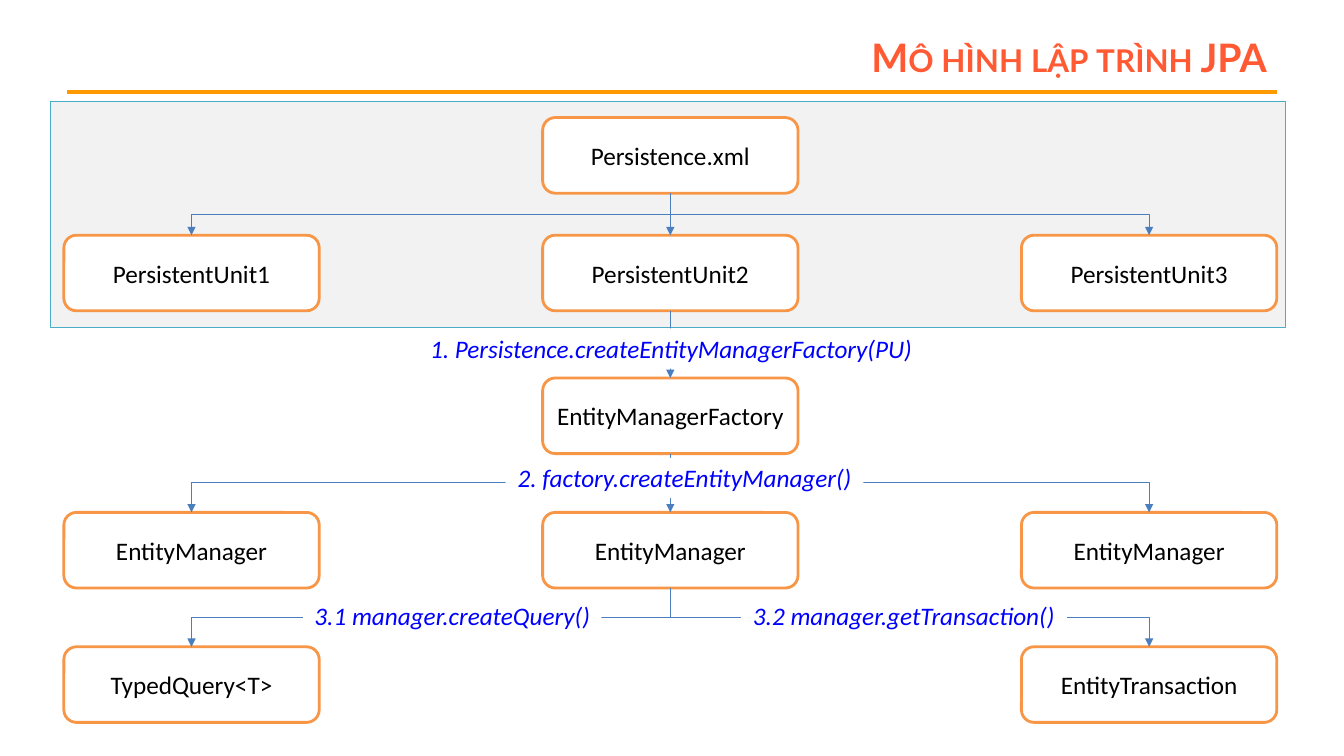
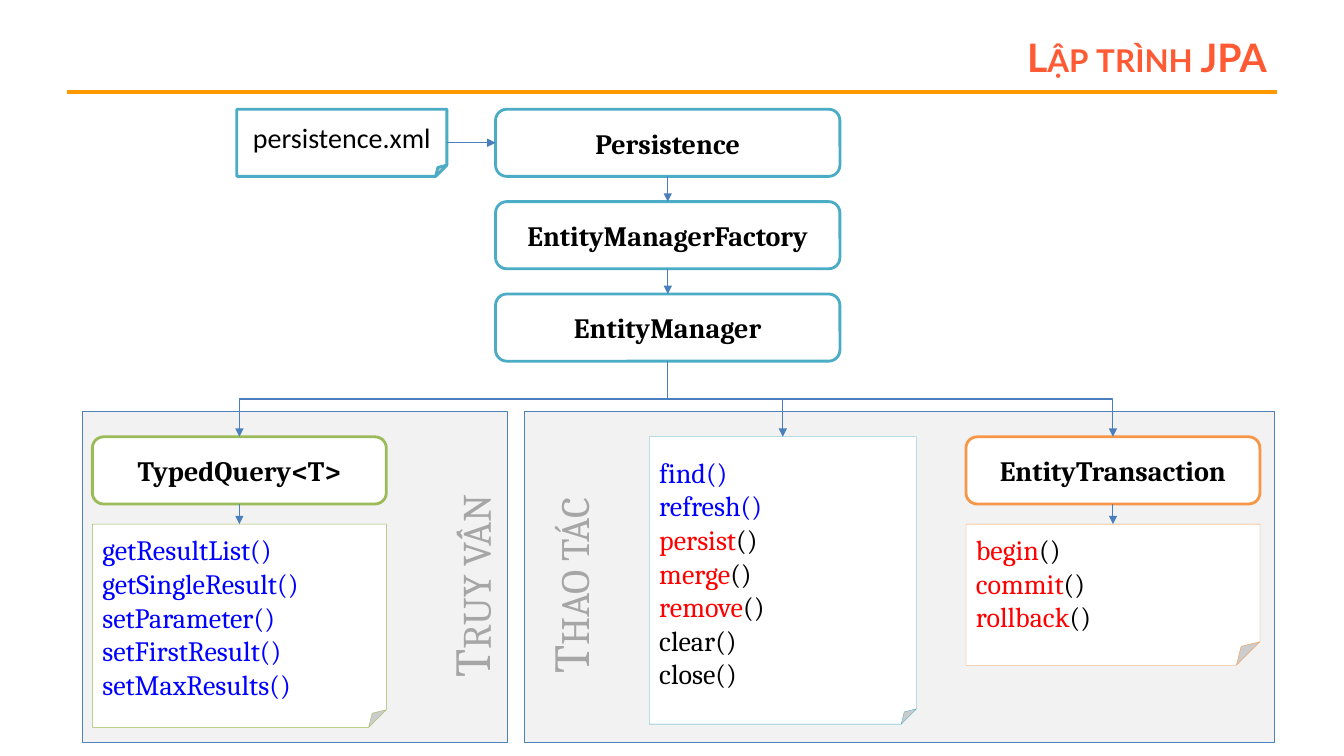
"""Build two diagram slides about programming with JPA."""
from lxml.etree import SubElement
from pptx import Presentation
from pptx.dml.color import RGBColor
from pptx.enum.shapes import MSO_CONNECTOR, MSO_SHAPE
from pptx.enum.text import MSO_ANCHOR, PP_ALIGN
from pptx.oxml.ns import qn
from pptx.util import Inches, Pt

presentation = Presentation()
presentation.slide_width = Inches(13.3333)
presentation.slide_height = Inches(7.5)
CELL = presentation.slide_height / 90

BLACK, WHITE, GRAY = "000000", "FFFFFF", "F2F2F2"
BLUE, RED, SILVER = "0000FF", "FF0000", "A6A6A6"
ORANGE, TEAL, GREEN = "F79646", "4BACC6", "9BBB59"
LINK, PANEL_LINE, RULE, TITLE = "4B7EBC", "4F81BD", "FF9900", "FF5A33"


def add_box(slide, preset, cells, lines=(), fill=WHITE, outline=None, weight=2,
            font="Calibri", size=18, bold=False, italic=False, small_caps=False,
            align=PP_ALIGN.CENTER, anchor=MSO_ANCHOR.MIDDLE, wrap=True):
    """Add a box on the grid; each line is a list of (text, colour) runs."""
    frame = [round(value * CELL) for value in cells]
    if preset is None:
        shape = slide.shapes.add_textbox(*frame)
    else:
        shape = slide.shapes.add_shape(preset, *frame)
        shape.shadow.inherit = False
        shape.fill.solid()
        shape.fill.fore_color.rgb = RGBColor.from_string(fill)
        if outline:
            shape.line.color.rgb = RGBColor.from_string(outline)
            shape.line.width = Pt(weight)
        else:
            shape.line.fill.background()
    text_frame = shape.text_frame
    text_frame.word_wrap = wrap
    text_frame.vertical_anchor = anchor
    for index, runs in enumerate(lines):
        paragraph = text_frame.add_paragraph() if index else text_frame.paragraphs[0]
        paragraph.alignment = align
        for text, color in runs:
            run = paragraph.add_run()
            run.text = text
            run.font.name, run.font.size = font, Pt(size)
            run.font.bold, run.font.italic = bold, italic
            run.font.color.rgb = RGBColor.from_string(color)
            if small_caps:
                run.font._element.set("cap", "small")
    return shape


def add_link(slide, start, end, start_side=2, end_side=0):
    """Join two boxes with an arrow, bent when their centres are not in line."""
    connector = slide.shapes.add_connector(MSO_CONNECTOR.STRAIGHT, 0, 0, 0, 0)
    connector.begin_connect(start, start_side)
    connector.end_connect(end, end_side)
    connector.line.color.rgb = RGBColor.from_string(LINK)
    connector.line.width = Pt(0.75)
    properties = connector._element.spPr
    SubElement(properties.find(qn("a:ln")), qn("a:tailEnd"), type="triangle")
    SubElement(properties, qn("a:effectLst"))
    across = connector.end_x - connector.begin_x
    down = connector.end_y - connector.begin_y
    if start_side == 2 and abs(across) > CELL:
        middle_x = connector.begin_x + across // 2
        middle_y = connector.begin_y + down // 2
        properties.find(qn("a:prstGeom")).set("prst", "bentConnector3")
        transform = properties.find(qn("a:xfrm"))
        transform.set("rot", "16200000" if across > 0 else "5400000")
        transform.set("flipH", "1" if across > 0 else "0")
        connector.left, connector.width = middle_x - down // 2, down
        connector.top, connector.height = middle_y - abs(across) // 2, abs(across)


slides = []
for title in ("Mô hình lập trình JPA", "Lập trình JPA"):
    slide = presentation.slides.add_slide(presentation.slide_layouts[6])
    rule = slide.shapes.add_connector(
        MSO_CONNECTOR.STRAIGHT, *[round(value * CELL) for value in (8, 11, 152, 11)])
    rule.line.color.rgb = RGBColor.from_string(RULE)
    rule.line.width = Pt(3)
    SubElement(rule._element.spPr, qn("a:effectLst"))
    add_box(slide, None, (29.3, 3.6, 122.7, 6.4), [[(title, TITLE)]], font="Lato",
            size=28, bold=True, small_caps=True, align=PP_ALIGN.RIGHT)
    slides.append(slide)
model_slide, programming_slide = slides

add_box(model_slide, MSO_SHAPE.RECTANGLE, (6, 12, 147, 27),
        fill=GRAY, outline=TEAL, weight=0.25)
model_rows = [
    (14, {1: "Persistence.xml"}),
    (28, {0: "PersistentUnit1", 1: "PersistentUnit2", 2: "PersistentUnit3"}),
    (45, {1: "EntityManagerFactory"}),
    (61, {0: "EntityManager", 1: "EntityManager", 2: "EntityManager"}),
    (77, {0: "TypedQuery<T>", 2: "EntityTransaction"}),
]
parent = None
for top, names in model_rows:
    row = {column: add_box(model_slide, MSO_SHAPE.ROUNDED_RECTANGLE,
                           (7.6 + 57 * column, top, 30.4, 9),
                           [[(name, BLACK)]], outline=ORANGE)
           for column, name in names.items()}
    if parent is not None:
        for box in row.values():
            add_link(model_slide, parent, box)
    parent = row.get(1)

for left, top, width, call in [
    (49.7, 39.1, 60.4, "1. Persistence.createEntityManagerFactory(PU)"),
    (60.2, 54.5, 42.6, "2. factory.createEntityManager()"),
    (36.1, 70.9, 35.5, "3.1 manager.createQuery()"),
    (88.2, 70.9, 38.8, "3.2 manager.getTransaction()"),
]:
    add_box(model_slide, MSO_SHAPE.RECTANGLE, (left, top, width, 4.8), [[(call, BLUE)]],
            italic=True, anchor=MSO_ANCHOR.TOP, wrap=False)

for left, width, label_left, label in [(62.4, 89.3, 55.3, "Thao tác"),
                                       (9.8, 50.6, 43.6, "Truy vấn")]:
    add_box(programming_slide, MSO_SHAPE.RECTANGLE, (left, 49, width, 39.4),
            fill=GRAY, outline=PANEL_LINE, weight=0.25)
    label_box = add_box(programming_slide, None, (label_left, 65.5, 25, 8.5),
                        [[(label, SILVER)]], font="Cambria", size=36,
                        small_caps=True, anchor=MSO_ANCHOR.TOP, wrap=False)
    label_box.rotation = 270

classes = {}
for name, left, top, width, outline in [
    ("Persistence", 59, 13, 41, TEAL),
    ("EntityManagerFactory", 59, 24, 41, TEAL),
    ("EntityManager", 59, 35, 41, TEAL),
    ("TypedQuery<T>", 11, 52, 35, GREEN),
    ("EntityTransaction", 115, 52, 35, ORANGE),
]:
    classes[name] = add_box(programming_slide, MSO_SHAPE.ROUNDED_RECTANGLE,
                            (left, top, width, 8), [[(name, BLACK)]], outline=outline,
                            font="Cambria", size=20, bold=True)

configuration = add_box(programming_slide, MSO_SHAPE.FOLDED_CORNER, (28.2, 13, 25, 8),
                        [[("persistence.xml", BLACK)]], outline=TEAL, size=20)
add_link(programming_slide, configuration, classes["Persistence"], 3, 1)

for start, end in [("Persistence", "EntityManagerFactory"),
                   ("EntityManagerFactory", "EntityManager"),
                   ("EntityManager", "TypedQuery<T>"),
                   ("EntityManager", "EntityTransaction")]:
    add_link(programming_slide, classes[start], classes[end])

query_methods = ["getResultList", "getSingleResult", "setParameter",
                 "setFirstResult", "setMaxResults"]
for owner, cells, fold, outline, methods in [
    ("TypedQuery<T>", (11, 62.4, 35, 24.2), 8700, GREEN,
     [(name, BLUE, BLUE) for name in query_methods]),
    ("EntityTransaction", (115, 62.4, 35, 16.8), 16667, ORANGE,
     [(name, RED, BLACK) for name in ("begin", "commit", "rollback")]),
    ("EntityManager", (77.3, 52, 31.8, 34.2), 5700, TEAL,
     [(name, BLUE, BLUE) for name in ("find", "refresh")]
     + [(name, RED, BLACK) for name in ("persist", "merge", "remove")]
     + [(name, BLACK, BLACK) for name in ("clear", "close")]),
]:
    lines = [[(name, color), ("()", bracket_color)] for name, color, bracket_color in methods]
    note = add_box(programming_slide, MSO_SHAPE.FOLDED_CORNER, cells, lines,
                   outline=outline, weight=0.25, font="Cambria", size=20,
                   align=PP_ALIGN.LEFT)
    geometry = note._element.spPr.find(qn("a:prstGeom"))
    SubElement(geometry.find(qn("a:avLst")), qn("a:gd"), name="adj", fmla=f"val {fold}")
    add_link(programming_slide, classes[owner], note)

presentation.save("out.pptx")
